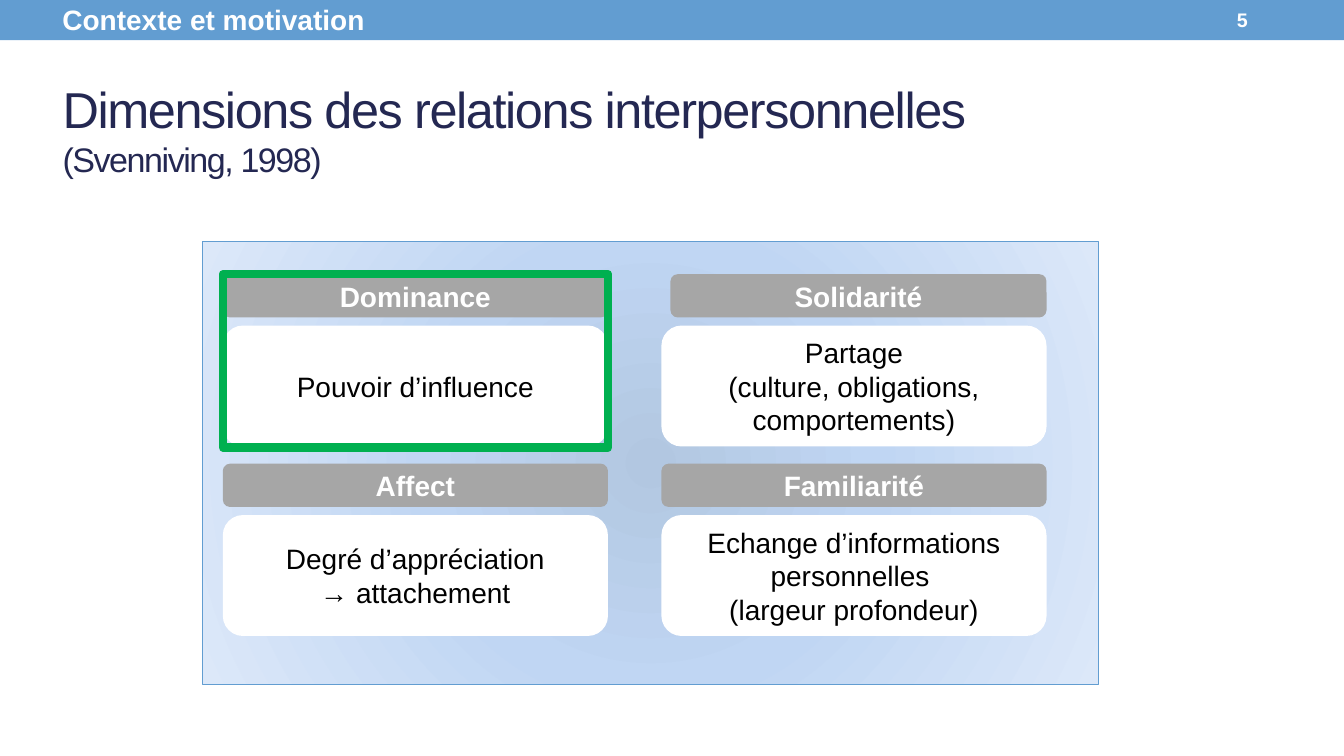
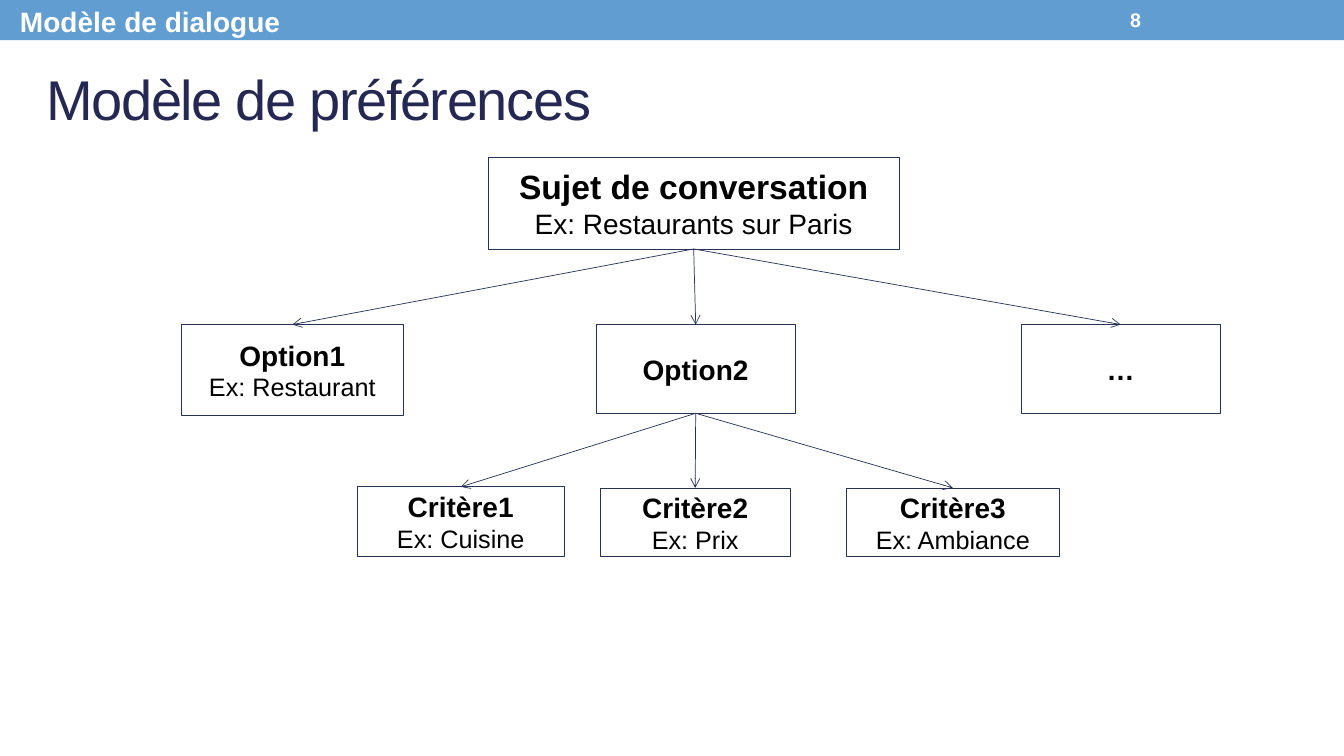
from pptx import Presentation
from pptx.dml.color import RGBColor
from pptx.enum.shapes import MSO_CONNECTOR, MSO_SHAPE
from pptx.enum.text import MSO_ANCHOR, MSO_AUTO_SIZE, PP_ALIGN
from pptx.oxml import parse_xml
from pptx.oxml.ns import nsdecls, qn
from pptx.util import Inches, Pt
from lxml import etree

RECT, ROUNDED = MSO_SHAPE.RECTANGLE, MSO_SHAPE.ROUNDED_RECTANGLE
STRAIGHT = MSO_CONNECTOR.STRAIGHT
MIDDLE, TOP = MSO_ANCHOR.MIDDLE, MSO_ANCHOR.TOP
LEFT, CENTER = PP_ALIGN.LEFT, PP_ALIGN.CENTER
FIXED = MSO_AUTO_SIZE.NONE

BLUE = RGBColor(0x62, 0x9D, 0xD1)
NAVY = RGBColor(0x24, 0x28, 0x52)
OUTLINE = RGBColor(0x25, 0x33, 0x56)
GREY = RGBColor(0xA6, 0xA6, 0xA6)
GREEN = RGBColor(0x00, 0xB0, 0x50)
WHITE = RGBColor(0xFF, 0xFF, 0xFF)
BLACK = RGBColor(0, 0, 0)

# Text formats: size, weight, colour
LABEL = {"size": Pt(20), "bold": True, "color": WHITE}
NUMBER = {"size": Pt(14), "bold": True, "color": WHITE}
BODY = {"size": Pt(20), "bold": False, "color": BLACK}
TITLE = {"bold": False, "color": NAVY}


def write(frame, paragraphs, align=LEFT, anchor=MIDDLE, wrap=True):
    """Fill a text frame; each paragraph is a list of (text, format) runs."""
    frame.word_wrap = wrap
    frame.vertical_anchor = anchor
    for index, runs in enumerate(paragraphs):
        para = frame.paragraphs[0] if index == 0 else frame.add_paragraph()
        para.alignment = align
        for text, style in runs:
            span = para.add_run()
            span.text = text
            span.font.name = "Arial"
            for name, value in style.items():
                if name == "color":
                    span.font.color.rgb = value
                else:
                    setattr(span.font, name, value)


def add_box(page, kind, place, fill=None, line=None, width=0.5):
    box = page.shapes.add_shape(kind, *map(Inches, place))
    box.shadow.inherit = False
    if fill is None:
        box.fill.background()
    else:
        box.fill.solid()
        box.fill.fore_color.rgb = fill
    if line is None:
        box.line.fill.background()
    else:
        box.line.color.rgb = line
        box.line.width = Pt(width)
    return box


deck = Presentation()
deck.slide_width, deck.slide_height = Inches(13.33), Inches(7.5)
layout = deck.slide_layouts[5]

# Title, section label and page number of each slide
headers = [
    {"title": [("Dimensions des relations interpersonnelles ", 36), ("(Svenniving, 1998)", 24.3)],
     "title_at": (0.52, 0.74, 9.22, 1.08),
     "label": "Contexte et motivation", "label_at": (0.52, -0.02, 3.3, 0.44),
     "number": "5", "number_at": (12.17, 0.02, 1.17, 0.36)},
    {"title": [("Modèle de préférences", 40)],
     "title_at": (0.36, 0.43, 12, 1.08),
     "label": "Modèle de dialogue", "label_at": (0.1, 0, 2.8, 0.44),
     "number": "8", "number_at": (11.11, 0.02, 1.56, 0.36)},
]
pages = []
for header in headers:
    page = deck.slides.add_slide(layout)
    pages.append(page)

    title = page.shapes.title
    title.left, title.top, title.width, title.height = map(Inches, header["title_at"])
    title.text_frame.auto_size = FIXED
    write(title.text_frame, [[(text, {**TITLE, "size": Pt(size)}) for text, size in header["title"]]])
    for span in title.text_frame.paragraphs[0].runs:
        span.font._element.set("spc", "-100")

    label = page.shapes.add_textbox(*map(Inches, header["label_at"]))
    write(label.text_frame, [[(header["label"], LABEL)]], anchor=TOP, wrap=False)
    number = page.shapes.add_textbox(*map(Inches, header["number_at"]))
    write(number.text_frame, [[(header["number"], NUMBER)]])

relations, preferences = pages

# Blue band, moved to the layout so that every slide shows it
band = add_box(relations, RECT, (0, 0, 13.33, 0.4), BLUE)
layout.shapes.element.insert(2, band.element)

# Slide 5: panel with a radial gradient
panel = add_box(relations, RECT, (2.01, 2.4, 8.89, 4.39), line=BLUE, width=0.75)
stops = [(0, "B2C7E1"), (45, "C0D6F3"), (100, "DCE8F9")]
stop_xml = "".join(
    f'<a:gs pos="{position * 1000}"><a:srgbClr val="{color}"/></a:gs>' for position, color in stops)
gradient = parse_xml(
    f'<a:gradFill {nsdecls("a")} rotWithShape="1"><a:gsLst>{stop_xml}</a:gsLst>'
    '<a:path path="circle"><a:fillToRect l="50000" t="50000" r="50000" b="50000"/></a:path></a:gradFill>')
properties = panel.element.spPr
properties.replace(properties.find(qn("a:noFill")), gradient)

# Slide 5: two by two grid of dimensions (heading, lines, heading indent)
CARD_LEFT, CARD_TOP, CARD_WIDTH = 2.21, 2.72, 3.82
COLUMN_STEP, ROW_STEP = 4.35, 1.88
dimensions = [
    ("Dominance", ["Pouvoir d’influence"], 0),
    ("Solidarité", ["Partage", "(culture, obligations, comportements)"], 0.09),
    ("Affect", ["Degré d’appréciation", "→ attachement"], 0),
    ("Familiarité", ["Echange d’informations personnelles ", "(largeur profondeur)"], 0),
]
for index, (heading, lines, indent) in enumerate(dimensions):
    row, column = divmod(index, 2)
    left = CARD_LEFT + column * COLUMN_STEP
    top = CARD_TOP + row * ROW_STEP
    card = add_box(relations, ROUNDED, (left, top + 0.51, CARD_WIDTH, 1.2), WHITE)
    write(card.text_frame, [[(line, BODY)] for line in lines], CENTER)
    tab = add_box(relations, ROUNDED, (left + indent, top, CARD_WIDTH - indent, 0.43), GREY)
    write(tab.text_frame, [[(heading, LABEL)]], CENTER)

# Slide 5: frame around the dimension studied
add_box(relations, RECT, (CARD_LEFT, CARD_TOP, CARD_WIDTH, 1.72), line=GREEN, width=6)

# Slide 8: preference tree (name, example, place, parent)
tree = [
    ("Sujet de conversation", "Ex: Restaurants sur Paris", (4.84, 1.56, 4.08, 0.91), None),
    ("Option1", "Ex: Restaurant", (1.8, 3.22, 2.2, 0.9), "Sujet de conversation"),
    ("Option2", None, (5.91, 3.22, 1.98, 0.88), "Sujet de conversation"),
    ("…", None, (10.13, 3.22, 1.97, 0.88), "Sujet de conversation"),
    ("Critère1", "Ex: Cuisine", (3.54, 4.83, 2.06, 0.69), "Option2"),
    ("Critère2", "Ex: Prix", (5.95, 4.84, 1.89, 0.68), "Option2"),
    ("Critère3", "Ex: Ambiance", (8.39, 4.84, 2.12, 0.68), "Option2"),
]
nodes = {}
for name, example, place, parent in tree:
    node = add_box(preferences, RECT, place, WHITE, OUTLINE)
    nodes[name] = node
    name_size, example_size = (20, 18) if parent else (24, 20)
    paragraphs = [[(name, {**BODY, "size": Pt(name_size), "bold": True})]]
    if example:
        paragraphs.append([(example, {**BODY, "size": Pt(example_size)})])
    write(node.text_frame, paragraphs, CENTER)

    # Arrow from the parent's bottom to the node's top
    if parent:
        arrow = preferences.shapes.add_connector(STRAIGHT, 0, 0, 0, 0)
        arrow.begin_connect(nodes[parent], 2)
        arrow.end_connect(node, 0)
        arrow.line.color.rgb = OUTLINE
        arrow.line.width = Pt(0.5)
        etree.SubElement(arrow.line._get_or_add_ln(), qn("a:tailEnd"), type="arrow")
        etree.SubElement(arrow.element.spPr, qn("a:effectLst"))

deck.save("out.pptx")
